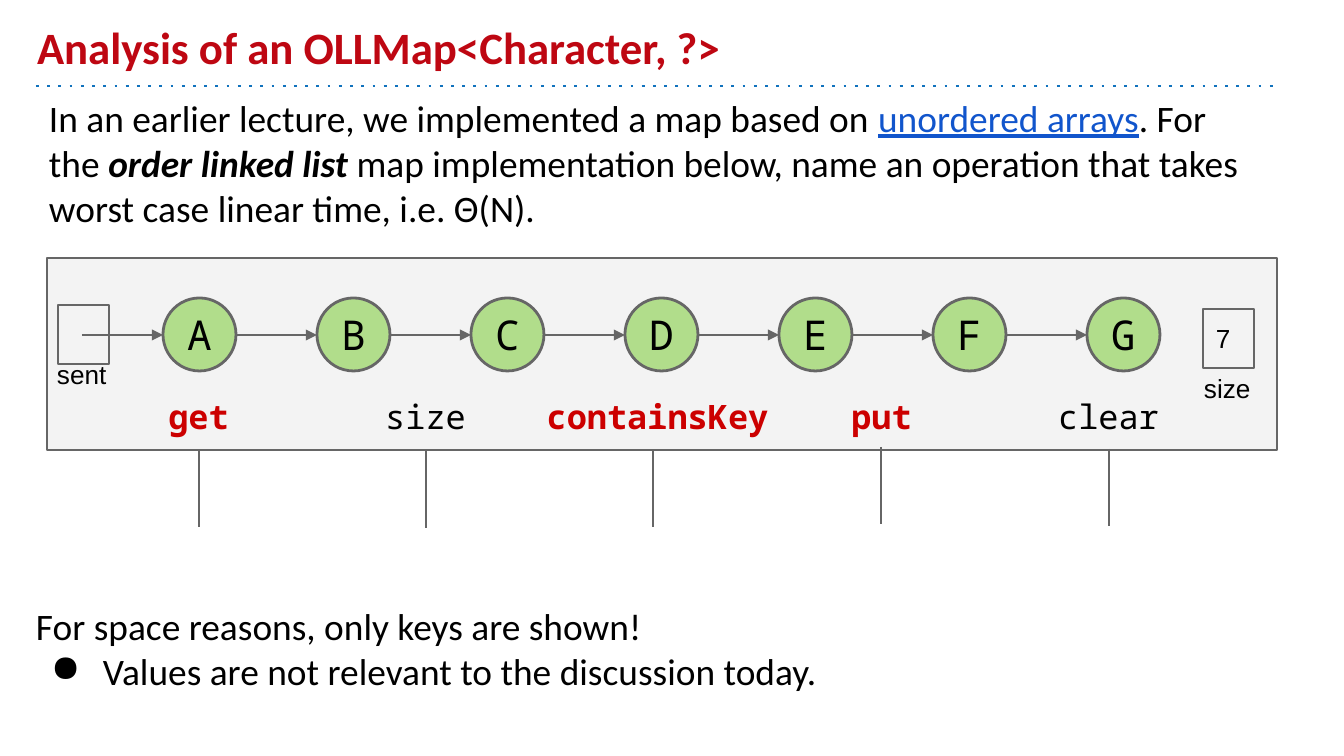
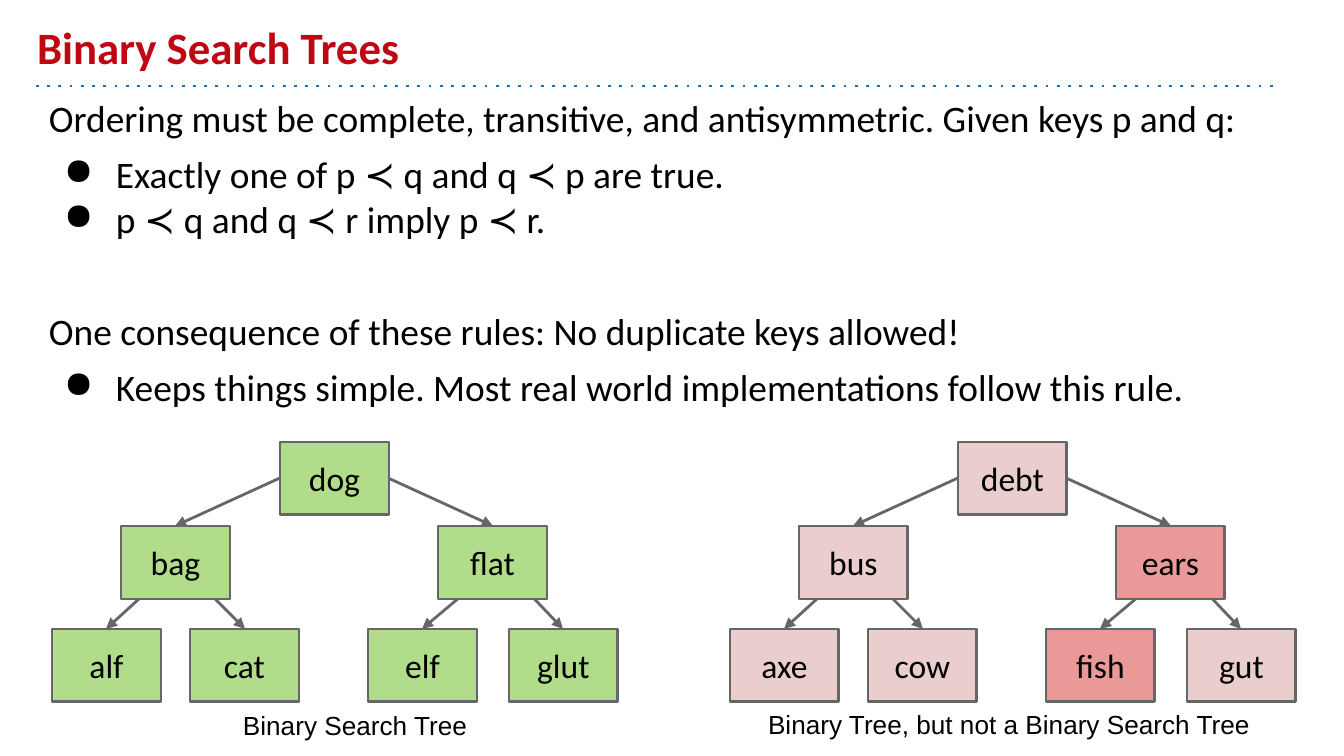
import pptx
import pptx.util
import pptx.dml.color
import pptx.enum.shapes
import pptx.enum.text
import pptx.oxml.ns
import lxml.etree

SCALE = 914400 / 134.4  # EMU in one pixel
hue = pptx.dml.color.RGBColor.from_string
qn = pptx.oxml.ns.qn
Pt = pptx.util.Pt
SHAPE = pptx.enum.shapes.MSO_SHAPE
ALIGN = pptx.enum.text.PP_ALIGN
ANCHOR = pptx.enum.text.MSO_ANCHOR

BLACK, GREY, RED = "000000", "666666", "CC0000"
GREEN, PALE, ROSE, PINK = "B1DD8B", "F3F3F3", "EACDCD", "EA9999"
MONO = "Noto Sans Mono"
ARROW = ("a:tailEnd", "type", "triangle")
DOTS = ("a:prstDash", "val", "dot")


def box(page, area, text="", size=20, font="Calibri", ink=BLACK, bold=False,
        align=ALIGN.LEFT, anchor=ANCHOR.TOP, kind=None, fill=None, edge=1.5, gaps=()):
    """Add a text box, or a preset shape if kind is given; "● " starts a bullet."""
    place = [round(n * SCALE) for n in area]
    if kind is None:
        item = page.shapes.add_textbox(*place)
    else:
        item = page.shapes.add_shape(kind, *place)
        item.shadow.inherit = False
        item.line.color.rgb = hue(GREY)
        item.line.width = Pt(edge)
        if fill:
            item.fill.solid()
            item.fill.fore_color.rgb = hue(fill)
        else:
            item.fill.background()
    frame = item.text_frame
    frame.word_wrap = True
    frame.vertical_anchor = anchor
    frame.margin_left = frame.margin_right = round(13 * SCALE)
    frame.margin_top = frame.margin_bottom = round(13 * SCALE)
    frame.text = text
    for para in frame.paragraphs:
        para.alignment = align
        if para.text.startswith("● "):
            para.text = para.text[2:]
            props = para._p.get_or_add_pPr()
            props.set("marL", str(round(67 * SCALE)))
            props.set("indent", str(round(-52 * SCALE)))
            lxml.etree.SubElement(props, qn("a:buChar")).set("char", "●")
        for run in para.runs:
            run.font.size = Pt(size)
            run.font.name = font
            run.font.bold = bold
            run.font.color.rgb = hue(ink)
    for para, gap in zip(frame.paragraphs, gaps):
        para.space_before = Pt(gap)
    return item


def link(page, ends, ink=GREY, mark=None):
    """Add a straight line; mark is an extra line element: tag, key, value."""
    line = page.shapes.add_connector(
        pptx.enum.shapes.MSO_CONNECTOR.STRAIGHT, *[round(n * SCALE) for n in ends])
    line.line.color.rgb = hue(ink)
    line.line.width = Pt(1.5)
    if mark:
        tag, key, value = mark
        lxml.etree.SubElement(line.line._ln, qn(tag)).set(key, value)
    lxml.etree.SubElement(line._element.spPr, qn("a:effectLst"))


deck = pptx.Presentation()
deck.slide_width = round(1344 * SCALE)
deck.slide_height = round(756 * SCALE)

# Shared by both slides: dotted rule and title
pages = []
for title in ("Analysis of an OLLMap<Character, ?>", "Binary Search Trees"):
    page = deck.slides.add_slide(deck.slide_layouts[6])
    link(page, (36, 86, 1277, 86), "1072BD", DOTS)
    box(page, (24, 13, 1270, 73), title, 24, ink="BE0712", bold=True, anchor=ANCHOR.BOTTOM)
    pages.append(page)
first, second = pages

# Slide 1: panel and question
box(first, (47, 258, 1230, 192), kind=SHAPE.RECTANGLE, fill=PALE)
body = box(first, (36, 82, 1241, 157), gaps=[6])
for text, ink, strong, under in (
        ("In an earlier lecture, we implemented a map based on ", BLACK, False, False),
        ("unordered arrays", "1155CC", False, True),
        (". For the ", BLACK, False, False),
        ("order linked list", BLACK, True, False),
        (" map implementation below, name an operation that takes "
         "worst case linear time, i.e. Θ(N).", BLACK, False, False)):
    run = body.text_frame.paragraphs[0].add_run()
    run.text = text
    run.font.size = Pt(20)
    run.font.name = "Calibri"
    run.font.color.rgb = hue(ink)
    run.font.bold = run.font.italic = strong
    run.font.underline = under

# Linked list: each node with the arrow that leads to it
for i, key in enumerate("ABCDEFG"):
    left = 163 + 154 * i
    box(first, (left, 298, 73, 73), key, 22, MONO, align=ALIGN.CENTER,
        anchor=ANCHOR.MIDDLE, kind=SHAPE.OVAL, fill=GREEN)
    link(first, (left - 81, 335, left, 335), mark=ARROW)

# Sentinel and size fields
box(first, (58, 305, 51, 59), kind=SHAPE.RECTANGLE, edge=0.75)
box(first, (44, 356, 91, 15), "sent", 14, "Arial")
box(first, (1203, 309, 51, 59), "7", 14, "Arial", anchor=ANCHOR.MIDDLE,
    kind=SHAPE.RECTANGLE, edge=0.75)
box(first, (1191, 359, 79, 59), "size", 14, "Arial")

# Operations, each with a line below; the linear ones are red
for name, left, wide, slow, x, top in (
        ("get", 118, 161, True, 199, 450),
        ("size", 345, 161, False, 426, 451),
        ("containsKey", 531, 253, True, 653, 450),
        ("put", 801, 161, True, 881, 447),
        ("clear", 1028, 161, False, 1109, 449)):
    box(first, (left, 383, wide, 42), name, 18, MONO, RED if slow else BLACK,
        slow, ALIGN.CENTER)
    link(first, (x, top, x, top + 77))

box(first, (23, 590, 1210, 122), "For space reasons, only keys are shown!\n"
    "● Values are not relevant to the discussion today.")

# Slide 2: rules of ordering
box(second, (36, 82, 1241, 360),
    "Ordering must be complete, transitive, and antisymmetric. Given keys p and q:\n"
    "● Exactly one of p ≺ q and q ≺ p are true.\n"
    "● p ≺ q and q ≺ r imply p ≺ r.\n"
    "One consequence of these rules: No duplicate keys allowed!\n"
    "● Keeps things simple. Most real world implementations follow this rule.",
    gaps=(6, 6, 0, 36.4, 6))

# Two trees of one form, side by side
spots = ((280, 442), (121, 526), (438, 526),
         (52, 629), (190, 629), (368, 629), (509, 629))
edges = ((280, 478, 175, 526), (388, 478, 493, 526),
         (161, 579, 106, 629), (202, 586, 245, 629),
         (472, 587, 422, 629), (523, 587, 563, 629))
for shift, fill, words in (
        (0, GREEN, ("dog", "bag", "flat", "alf", "cat", "elf", "glut")),
        (678, ROSE, ("debt", "bus", "ears", "axe", "cow", "fish", "gut"))):
    for x1, y1, x2, y2 in edges:
        link(second, (x1 + shift, y1, x2 + shift, y2), mark=ARROW)
    for word, (x, y) in zip(words, spots):
        box(second, (x + shift, y, 109, 73), word, 18, align=ALIGN.CENTER,
            anchor=ANCHOR.MIDDLE, kind=SHAPE.RECTANGLE,
            fill=PINK if word in ("ears", "fish") else fill)

# Captions
box(second, (230, 696, 254, 42), "Binary Search Tree", 14, "Arial")
box(second, (755, 695, 517, 42), "Binary Tree, but not a Binary Search Tree", 14, "Arial")

deck.save("out.pptx")
